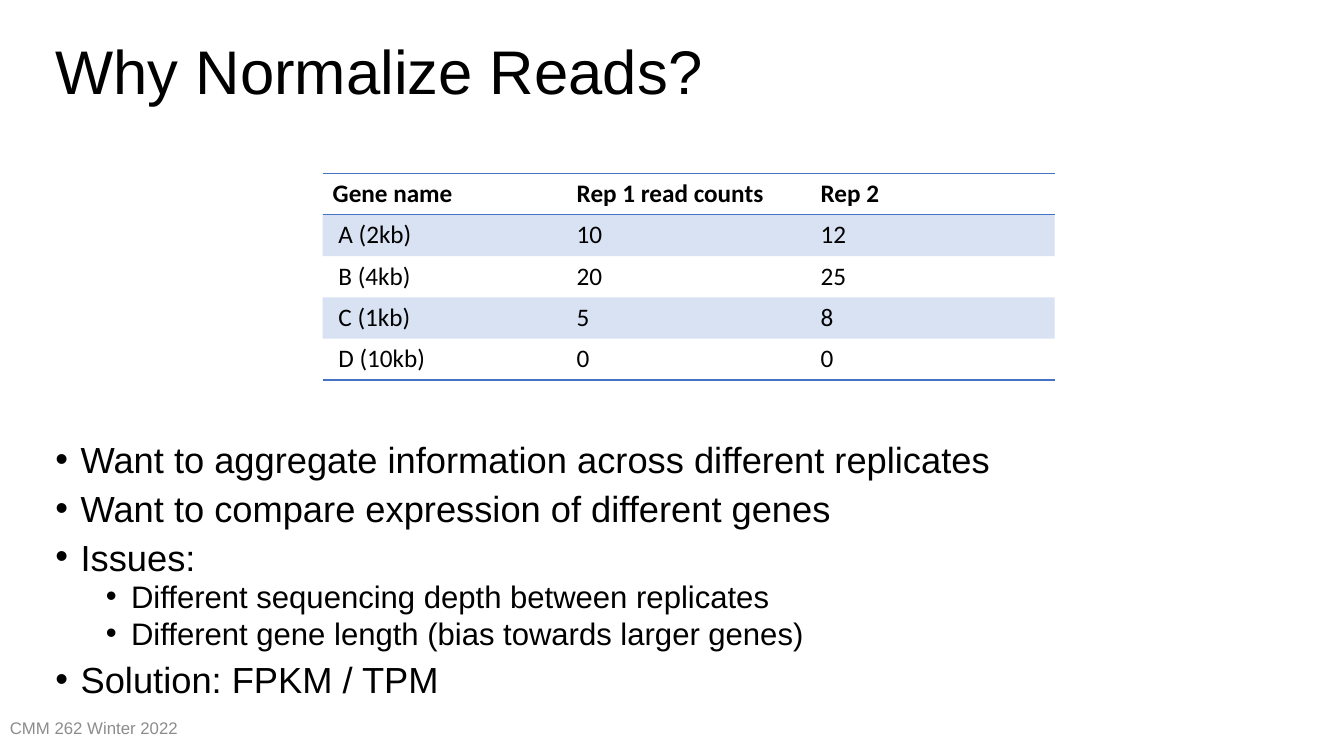
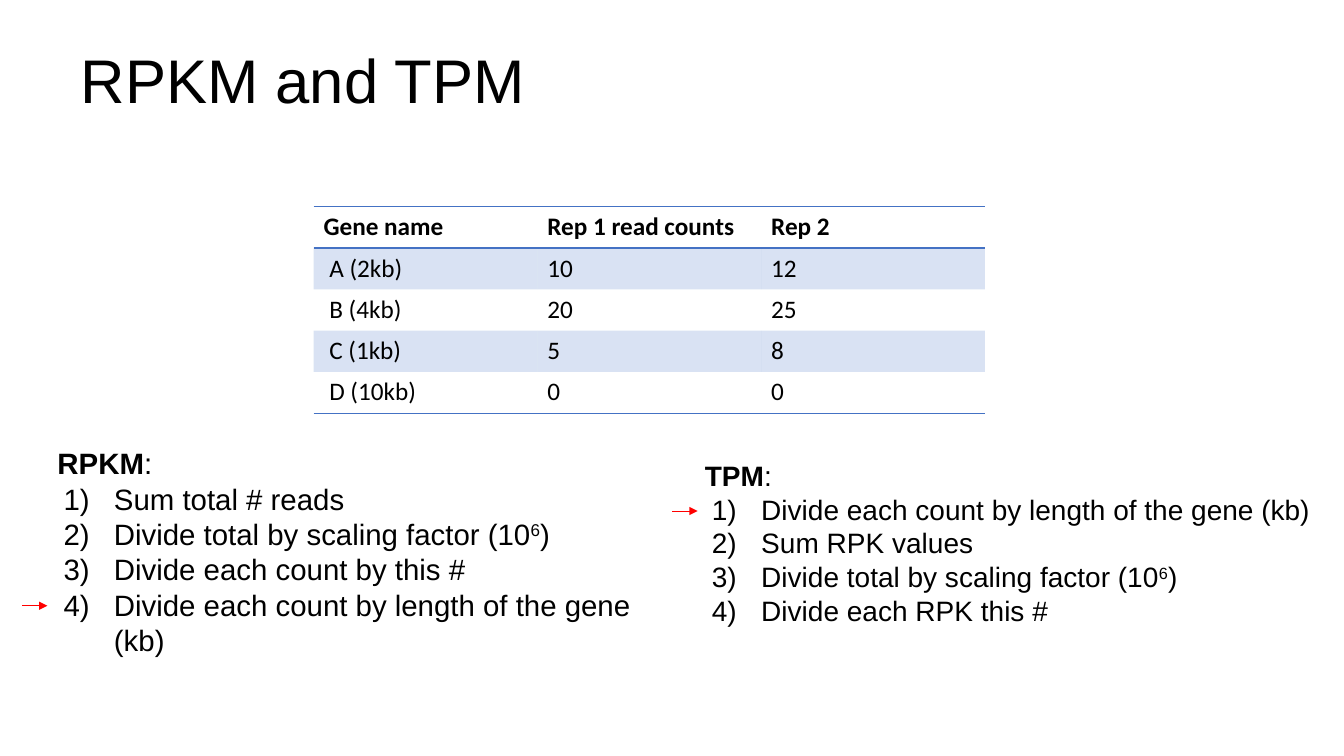
from dataclasses import dataclass
from typing import NamedTuple

from lxml.etree import SubElement
from pptx import Presentation
from pptx.dml.color import RGBColor
from pptx.enum.shapes import MSO_CONNECTOR
from pptx.enum.text import MSO_ANCHOR, MSO_AUTO_SIZE, PP_ALIGN
from pptx.oxml import parse_xml
from pptx.oxml.ns import nsdecls, qn
from pptx.util import Inches, Pt

BLACK = RGBColor(0x00, 0x00, 0x00)
GRAY = RGBColor(0x8C, 0x8C, 0x8C)
BLUE = RGBColor(0x44, 0x72, 0xC4)
RED = RGBColor(0xFF, 0x00, 0x00)
BODY_FONT = "Arial"
TABLE_FONT = "Calibri"
NO_STYLE = "{2D5ABB26-0587-4C30-8999-92F81FD0307C}"
ROW_HEIGHT = 0.41
BULLET = '<a:buChar {} char="•"/>'
NUMBER = '<a:buAutoNum {} type="arabicParenR"/>'
NO_MARK = "<a:buNone {}/>"

GENE_COUNTS = [
    ("Gene name", "Rep 1 read counts", "Rep 2"),
    (" A (2kb)", "10", "12"),
    (" B (4kb)", "20", "25"),
    (" C (1kb)", "5", "8"),
    (" D (10kb)", "0", "0"),
]


class Box(NamedTuple):
    left: float
    top: float
    width: float
    height: float


@dataclass
class Level:
    size: float
    indent: float
    hanging: float
    before: float
    spacing: float = 1.0


@dataclass
class Method:
    box: Box
    name: str
    steps: list[str]
    level: Level
    arrow_left: float
    arrow_top: float


BULLET_LEVELS = [Level(25.9, 0.25, 0.25, 10, 0.8), Level(22.2, 0.75, 0.25, 5, 0.8)]
REASONS = [
    (0, "Want to aggregate information across different replicates"),
    (0, "Want to compare expression of different genes"),
    (0, "Issues:"),
    (1, "Different sequencing depth between replicates"),
    (1, "Different gene length (bias towards larger genes)"),
    (0, "Solution: FPKM / TPM"),
]

BY_LENGTH = "Divide each count by length of the gene (kb)"
SCALING = "Divide total by scaling factor (10^6^)"
METHODS = [
    Method(Box(0.47, 4.37, 6.2, 3.13), "RPKM",
           ["Sum total # reads", SCALING, "Divide each count by this #", BY_LENGTH],
           Level(21, 0.56, 0.5, 0), 0.22, 6.01),
    Method(Box(6.89, 4.5, 6.7, 3), "TPM",
           [BY_LENGTH, "Sum RPK values", SCALING, "Divide each RPK this #"],
           Level(20, 0.56, 0.49, 0), 6.67, 5.07),
]


def set_attrs(target, values: dict) -> None:
    for name, value in values.items():
        setattr(target, name, value)


def place(sp, box: Box) -> None:
    set_attrs(sp, {name: Inches(value) for name, value in box._asdict().items()})


def add_run(p, text: str, size: float, color=BLACK, bold=False, font=BODY_FONT):
    r = p.add_run()
    r.text = text
    set_attrs(r.font, {"name": font, "size": Pt(size), "bold": bold})
    r.font.color.rgb = color
    return r


def format_frame(tf, anchor) -> None:
    set_attrs(tf, {"word_wrap": True, "auto_size": MSO_AUTO_SIZE.NONE,
                   "vertical_anchor": anchor,
                   "margin_left": Inches(0.1), "margin_right": Inches(0.1),
                   "margin_top": Inches(0.05), "margin_bottom": Inches(0.05)})


def add_title(s, text: str, box: Box, align) -> None:
    sp = s.shapes.title
    place(sp, box)
    format_frame(sp.text_frame, MSO_ANCHOR.MIDDLE)
    p = sp.text_frame.paragraphs[0]
    set_attrs(p, {"alignment": align, "line_spacing": 0.9})
    add_run(p, text, 44)


def add_footer(s, text: str) -> None:
    sp = s.shapes.add_textbox(*map(Inches, Box(0, 7.02, 4.5, 0.4)))
    format_frame(sp.text_frame, MSO_ANCHOR.MIDDLE)
    add_run(sp.text_frame.paragraphs[0], text, 12, GRAY)


def next_paragraph(tf, level: Level, mark: str):
    """Use the empty first paragraph, then add new ones."""
    first = not tf.paragraphs[0].runs
    p = tf.paragraphs[0] if first else tf.add_paragraph()
    pPr = p._p.get_or_add_pPr()
    pPr.set("marL", str(Inches(level.indent)))
    pPr.set("indent", str(-Inches(level.hanging)))
    if mark != NO_MARK:
        pPr.append(parse_xml(
            f'<a:buClr {nsdecls("a")}><a:srgbClr val="{BLACK}"/></a:buClr>'))
        pPr.append(parse_xml(f'<a:buFont {nsdecls("a")} typeface="{BODY_FONT}"/>'))
    pPr.append(parse_xml(mark.format(nsdecls("a"))))
    set_attrs(p, {"alignment": PP_ALIGN.LEFT, "line_spacing": level.spacing,
                  "space_before": Pt(0 if first else level.before),
                  "space_after": Pt(0)})
    return p


def add_bullets(sp, box: Box) -> None:
    place(sp, box)
    tf = sp.text_frame
    format_frame(tf, MSO_ANCHOR.TOP)
    for depth, text in REASONS:
        level = BULLET_LEVELS[depth]
        p = next_paragraph(tf, level, BULLET)
        p.level = depth
        add_run(p, text, level.size)


def add_method(s, sp, method: Method) -> None:
    place(sp, method.box)
    tf = sp.text_frame
    format_frame(tf, MSO_ANCHOR.TOP)
    size = method.level.size
    heading = next_paragraph(tf, Level(size, 0, 0, 0), NO_MARK)
    add_run(heading, method.name, size, bold=True)
    add_run(heading, ":", size)
    for step in method.steps:
        p = next_paragraph(tf, method.level, NUMBER)
        # Text between carets is raised
        for i, part in enumerate(step.split("^")):
            r = add_run(p, part, size)
            if i % 2:
                r._r.get_or_add_rPr().set("baseline", "30000")
    add_arrow(s, method.arrow_left, method.arrow_top)


def add_arrow(s, left: float, top: float) -> None:
    line = s.shapes.add_connector(MSO_CONNECTOR.STRAIGHT, Inches(left), Inches(top),
                                  Inches(left + 0.25), Inches(top))
    line.line.color.rgb = RED
    line.line.width = Pt(0.75)
    SubElement(line.line._get_or_add_ln(), qn("a:tailEnd"), type="triangle")
    SubElement(line._element.spPr, qn("a:effectLst"))


def set_borders(cell, sides: str) -> None:
    tcPr = cell._tc.get_or_add_tcPr()
    for i, side in enumerate(sides):
        tcPr.insert(i, parse_xml(
            f'<a:ln{side} {nsdecls("a")} w="{Pt(1)}"><a:solidFill>'
            f'<a:srgbClr val="{BLUE}"/></a:solidFill></a:ln{side}>'))


def add_count_table(s, left: float, top: float, col_width: float) -> None:
    n_rows, n_cols = len(GENE_COUNTS), len(GENE_COUNTS[0])
    frame = s.shapes.add_table(n_rows, n_cols, Inches(left), Inches(top),
                               Inches(col_width * n_cols), Inches(ROW_HEIGHT * n_rows))
    table = frame.table
    set_attrs(table, {"first_row": False, "horz_banding": False})
    for style in frame._element.iter(qn("a:tableStyleId")):
        style.text = NO_STYLE
    for col in table.columns:
        col.width = Inches(col_width)
    for i, values in enumerate(GENE_COUNTS):
        table.rows[i].height = Inches(ROW_HEIGHT)
        for cell, text in zip(table.rows[i].cells, values):
            add_run(cell.text_frame.paragraphs[0], text, 18,
                    bold=i == 0, font=TABLE_FONT)
            # Odd rows are tinted
            if i % 2:
                cell.fill.solid()
                cell.fill.fore_color.rgb = BLUE
                color = cell._tc.tcPr.find(".//" + qn("a:srgbClr"))
                SubElement(color, qn("a:alpha"), val="20000")
            else:
                cell.fill.background()
            # Rules around the header and under the last row
            set_borders(cell, "TB" if i == 0 else "B" if i == n_rows - 1 else "")


def main() -> None:
    prs = Presentation()
    prs.slide_width, prs.slide_height = Inches(13.33), Inches(7.5)

    # Reasons to normalize
    s = prs.slides.add_slide(prs.slide_layouts[1])
    add_title(s, "Why Normalize Reads?", Box(0.45, 0.32, 12.42, 0.83), PP_ALIGN.LEFT)
    add_bullets(s.placeholders[1], Box(0.45, 4.37, 12.42, 2.43))
    add_count_table(s, 3.2, 1.72, 2.42)
    add_footer(s, "CMM 262 Winter 2022")

    # Two methods side by side
    s = prs.slides.add_slide(prs.slide_layouts[3])
    add_title(s, "RPKM and TPM", Box(0, 0.37, 6.01, 0.91), PP_ALIGN.CENTER)
    add_count_table(s, 3.11, 2.05, 2.22)
    for index, method in enumerate(METHODS, start=1):
        add_method(s, s.placeholders[index], method)

    prs.save("out.pptx")


if __name__ == "__main__":
    main()
